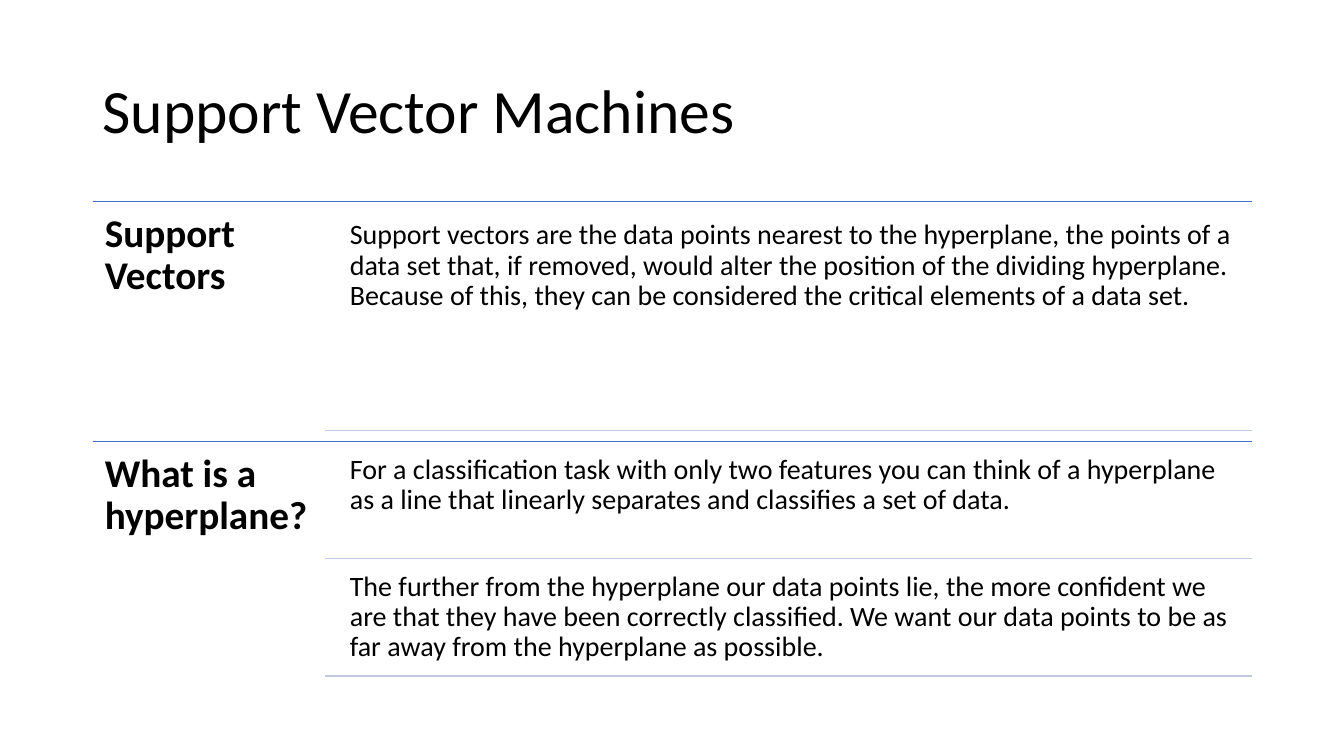
from lxml import etree
from pptx import Presentation
from pptx import util as u
from pptx.dml.color import RGBColor
from pptx.enum import shapes, text
from pptx.oxml.ns import qn

COLORS = {"text": "000000", "section": "4472C4", "item": "C1C9E4"}
FONT = "Calibri"
LEFT, WIDTH = 0.92, 11.5
HEADING_WIDTH = 2.3
ITEM_INDENT = 0.17
SECTIONS_TOP, SECTION_HEIGHT = 2, 2.38
GAP_TOTAL = 0.11  # shared out among the items of a section

SECTIONS = [
    ("Support Vectors", [
        "Support vectors are the data points nearest to the hyperplane, the points of a "
        "data set that, if removed, would alter the position of the dividing hyperplane. "
        "Because of this, they can be considered the critical elements of a data set.",
    ]),
    ("What is a hyperplane?", [
        "For a classification task with only two features you can think of a hyperplane "
        "as a line that linearly separates and classifies a set of data.",
        "The further from the hyperplane our data points lie, the more confident we "
        "are that they have been correctly classified. We want our data points to be as "
        "far away from the hyperplane as possible.",
    ]),
]


def add_text(slide, box, content, size, inset, bold=False,
             anchor=text.MSO_ANCHOR.TOP):
    shape = slide.shapes.add_textbox(*map(u.Inches, box))
    frame = shape.text_frame
    frame.word_wrap = True
    frame.vertical_anchor = anchor
    frame.margin_left = frame.margin_right = u.Inches(inset)
    frame.margin_top = frame.margin_bottom = u.Inches(min(inset, 0.12))
    paragraph = frame.paragraphs[0]
    paragraph.line_spacing = 0.9
    run = paragraph.add_run()
    run.text = content
    run.font.name = FONT
    run.font.size = u.Pt(size)
    run.font.bold = bold
    run.font.color.rgb = RGBColor.from_string(COLORS["text"])


def add_rule(slide, left, right, top, color):
    line = slide.shapes.add_connector(
        shapes.MSO_CONNECTOR.STRAIGHT,
        u.Inches(left), u.Inches(top), u.Inches(right), u.Inches(top))
    line.line.color.rgb = RGBColor.from_string(COLORS[color])
    line.line.width = u.Pt(1)
    etree.SubElement(line._element.spPr, qn("a:effectLst"))


def add_title(slide, box):
    add_text(slide, box, "Support Vector Machines", 44, 0.1,
             anchor=text.MSO_ANCHOR.MIDDLE)


def add_section(slide, box, heading, items):
    left, top, width, height = box
    right = left + width
    items_left = left + HEADING_WIDTH
    text_left = items_left + ITEM_INDENT

    # Heading under its rule
    add_rule(slide, left, right, top, "section")
    add_text(slide, (left, top, HEADING_WIDTH, height), heading, 28, 0.12, bold=True)

    # Items, each closed by a lighter rule
    gap = GAP_TOTAL / len(items)
    item_height = (height - gap * (len(items) + 1)) / len(items)
    for index, item in enumerate(items):
        item_top = top + gap + index * (item_height + gap)
        add_text(slide, (text_left, item_top, right - text_left, item_height),
                 item, 20, 0.08)
        add_rule(slide, items_left, right, item_top + item_height, "item")


def main():
    presentation = Presentation()
    presentation.slide_width = u.Inches(13.33)
    presentation.slide_height = u.Inches(7.5)
    slide = presentation.slides.add_slide(presentation.slide_layouts[6])

    add_title(slide, (LEFT, 0.4, WIDTH, 1.45))
    for index, (heading, items) in enumerate(SECTIONS):
        top = SECTIONS_TOP + index * SECTION_HEIGHT
        add_section(slide, (LEFT, top, WIDTH, SECTION_HEIGHT), heading, items)

    presentation.save("out.pptx")


if __name__ == "__main__":
    main()
